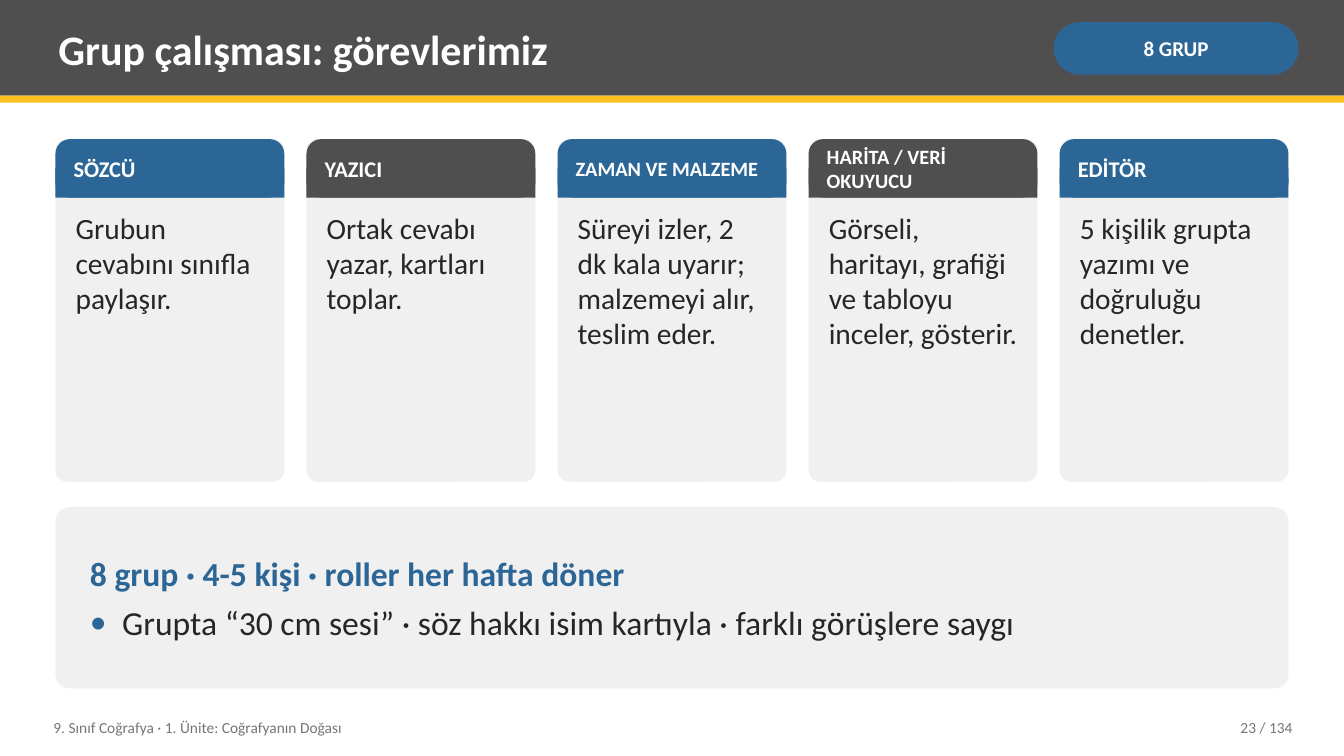
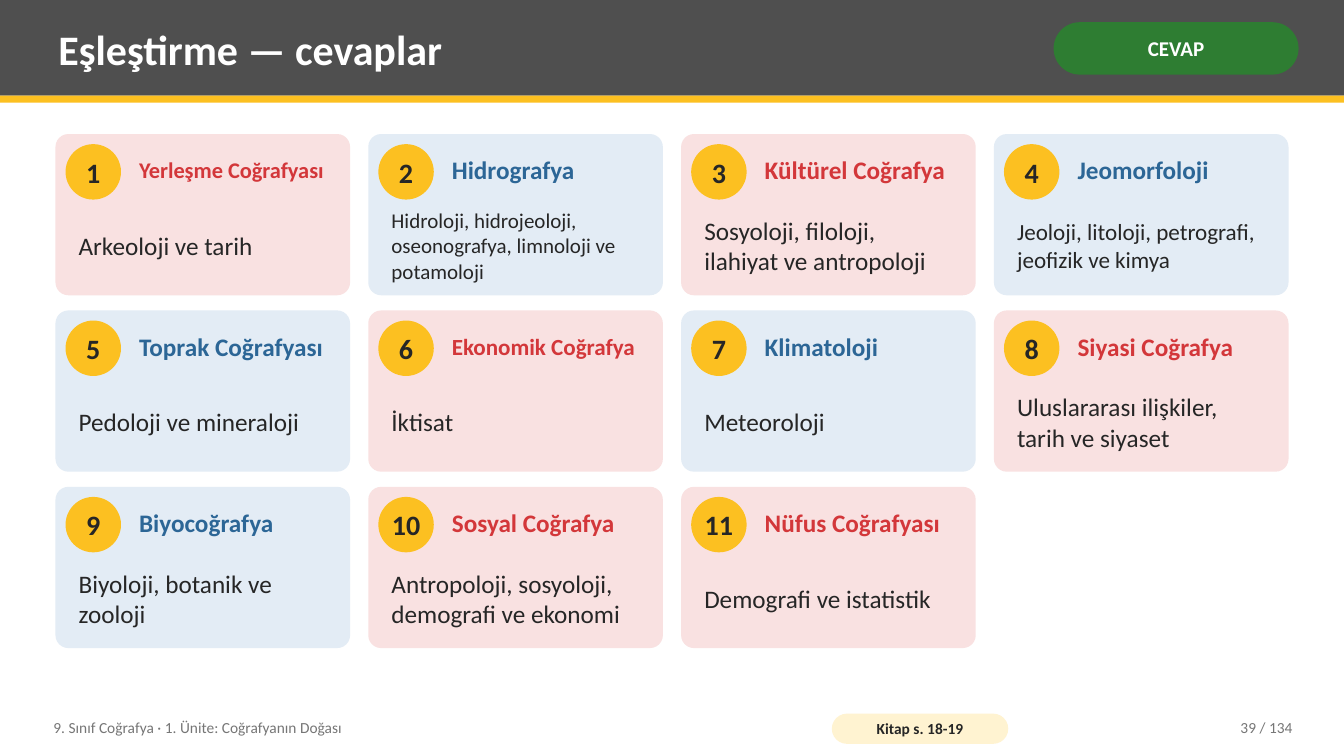
from lxml.etree import SubElement
from pptx import Presentation
from pptx.dml.color import RGBColor
from pptx.enum.shapes import MSO_SHAPE as Shape
from pptx.enum.text import MSO_ANCHOR as Anchor, PP_ALIGN as Align
from pptx.oxml.ns import qn
from pptx.util import Inches, Pt

FONT = "Calibri"
WHITE, INK, GRAY, PANEL, MUTED = "FFFFFF", "262626", "4F4F4F", "F0F0F0", "767676"
BLUE, RED, GREEN, YELLOW = "2C6696", "D3373A", "2E7D32", "FCC021"
PALE_BLUE, PALE_RED, PALE_YELLOW = "E3ECF5", "F9E1E1", "FFF3D1"
TINTS = {BLUE: PALE_BLUE, RED: PALE_RED}

WIDTH, HEIGHT = 13.33, 7.5
LEFT, CONTENT_WIDTH = 0.55, 12.23
TEXT_INSETS = (0.08, 0.04)
COURSE = "9. Sınıf Coğrafya · 1. Ünite: Coğrafyanın Doğası"
PAGE_TOTAL = 134

ROLES = [
    ("SÖZCÜ", 16, "Grubun cevabını sınıfla paylaşır."),
    ("YAZICI", 16, "Ortak cevabı yazar, kartları toplar."),
    ("ZAMAN VE MALZEME", 14.5, "Süreyi izler, 2 dk kala uyarır; malzemeyi alır, teslim eder."),
    ("HARİTA / VERİ OKUYUCU", 14.5, "Görseli, haritayı, grafiği ve tabloyu inceler, gösterir."),
    ("EDİTÖR", 16, "5 kişilik grupta yazımı ve doğruluğu denetler."),
]
RULES_TITLE = "8 grup · 4-5 kişi · roller her hafta döner"
RULES_BULLET = "Grupta “30 cm sesi” · söz hakkı isim kartıyla · farklı görüşlere saygı"

ANSWERS = [
    ("Yerleşme Coğrafyası", 16, RED, "Arkeoloji ve tarih", 18),
    ("Hidrografya", 18, BLUE, "Hidroloji, hidrojeoloji, oseonografya, limnoloji ve potamoloji", 15),
    ("Kültürel Coğrafya", 18, RED, "Sosyoloji, filoloji, ilahiyat ve antropoloji", 18),
    ("Jeomorfoloji", 18, BLUE, "Jeoloji, litoloji, petrografi, jeofizik ve kimya", 16.5),
    ("Toprak Coğrafyası", 18, BLUE, "Pedoloji ve mineraloji", 18),
    ("Ekonomik Coğrafya", 16.5, RED, "İktisat", 18),
    ("Klimatoloji", 18, BLUE, "Meteoroloji", 18),
    ("Siyasi Coğrafya", 18, RED, "Uluslararası ilişkiler, tarih ve siyaset", 18),
    ("Biyocoğrafya", 18, BLUE, "Biyoloji, botanik ve zooloji", 18),
    ("Sosyal Coğrafya", 18, RED, "Antropoloji, sosyoloji, demografi ve ekonomi", 18),
    ("Nüfus Coğrafyası", 18, RED, "Demografi ve istatistik", 18),
]


def rgb(value):
    return RGBColor.from_string(value)


def style(paragraph, size, color, bold=False, align=Align.LEFT):
    paragraph.alignment = align
    font = paragraph.font
    font.name, font.size, font.bold = FONT, Pt(size), bold
    font.color.rgb = rgb(color)


def set_frame(shape, insets, anchor=Anchor.MIDDLE, wrap=True):
    frame = shape.text_frame
    frame.word_wrap, frame.vertical_anchor = wrap, anchor
    frame.margin_left = frame.margin_right = Inches(insets[0])
    frame.margin_top = frame.margin_bottom = Inches(insets[1])
    return frame


def write(shape, text, size, color, bold=False, align=Align.LEFT, insets=TEXT_INSETS, **options):
    paragraph = set_frame(shape, insets, **options).paragraphs[0]
    paragraph.text = text
    style(paragraph, size, color, bold, align)


def add_block(slide, kind, box, fill, corner=None):
    shape = slide.shapes.add_shape(kind, *map(Inches, box))
    shape.shadow.inherit = False
    shape.fill.solid()
    shape.fill.fore_color.rgb = rgb(fill)
    shape.line.fill.background()
    if corner is not None:
        shape.adjustments[0] = corner
    return shape


def add_label(slide, box, *text, **options):
    write(slide.shapes.add_textbox(*map(Inches, box)), *text, **options)


def add_pill(slide, box, fill, *text, insets):
    pill = add_block(slide, Shape.ROUNDED_RECTANGLE, box, fill, 0.5)
    write(pill, *text, bold=True, align=Align.CENTER, insets=insets)


def add_bullet(paragraph, color, indent):
    properties = paragraph._p.get_or_add_pPr()
    properties.set("marL", str(Inches(indent)))
    properties.set("indent", str(-Inches(indent)))
    SubElement(SubElement(properties, qn("a:buClr")), qn("a:srgbClr"), val=color)
    SubElement(properties, qn("a:buFont"), typeface=FONT)
    SubElement(properties, qn("a:buChar"), char="•")


def add_page(presentation, title, tag, tag_color, number):
    slide = presentation.slides.add_slide(presentation.slide_layouts[6])
    add_block(slide, Shape.RECTANGLE, (0, 0, WIDTH, 0.95), GRAY)
    add_block(slide, Shape.RECTANGLE, (0, 0.95, WIDTH, 0.07), YELLOW)
    add_label(slide, (0.5, 0.07, 9.75, 0.82), title, 30, WHITE, True)
    add_pill(slide, (10.45, 0.22, 2.43, 0.52), tag_color, tag, 15, WHITE, insets=(0.05, 0.02))
    add_label(slide, (0.45, 7.04, 7.6, 0.36), COURSE, 11, MUTED)
    add_label(slide, (11.3, 7.04, 1.6, 0.36), f"{number} / {PAGE_TOTAL}", 11, MUTED, align=Align.RIGHT)
    return slide


def add_role_cards(slide):
    top, height, head, gap = 1.38, 3.4, 0.58, 0.22
    width = (CONTENT_WIDTH - gap * (len(ROLES) - 1)) / len(ROLES)
    for index, (role, size, duty) in enumerate(ROLES):
        left = LEFT + index * (width + gap)
        color = (BLUE, GRAY)[index % 2]
        add_block(slide, Shape.ROUNDED_RECTANGLE, (left, top, width, height), PANEL, 0.05)
        add_block(slide, Shape.ROUNDED_RECTANGLE, (left, top, width, head), color, 0.25)
        add_block(slide, Shape.RECTANGLE, (left, top + head / 2, width, head / 2), color)
        add_label(slide, (left + 0.1, top, width - 0.2, head), role, size, WHITE, True)
        add_label(slide, (left + 0.12, top + head + 0.08, width - 0.24, height - head - 0.16),
                  duty, 21, INK, anchor=Anchor.TOP)


def add_rules_panel(slide):
    panel = add_block(slide, Shape.ROUNDED_RECTANGLE, (LEFT, 5.03, CONTENT_WIDTH, 1.8), PANEL, 0.08)
    write(panel, RULES_TITLE, 24, BLUE, True, insets=(0.3, 0.08))
    panel.text_frame.paragraphs[0].space_after = Pt(6)
    bullet = panel.text_frame.add_paragraph()
    bullet.text = RULES_BULLET
    add_bullet(bullet, BLUE, 0.32)
    style(bullet, 24, INK)


def add_answer_cards(slide):
    columns, gap, height, row_step = 4, 0.18, 1.6, 1.75
    width = (CONTENT_WIDTH - gap * (columns - 1)) / columns
    for index, (branch, branch_size, color, sciences, size) in enumerate(ANSWERS):
        row, column = divmod(index, columns)
        left, top = LEFT + column * (width + gap), 1.33 + row * row_step
        add_block(slide, Shape.ROUNDED_RECTANGLE, (left, top, width, height), TINTS[color], 0.08)
        badge = add_block(slide, Shape.OVAL, (left + 0.1, top + 0.1, 0.55, 0.55), YELLOW)
        write(badge, str(index + 1), 20, INK, True, Align.CENTER, (0, 0), wrap=False)
        add_label(slide, (left + 0.75, top + 0.08, width - 0.85, 0.55), branch, branch_size, color, True)
        add_label(slide, (left + 0.15, top + 0.68, width - 0.3, 0.85), sciences, size, INK)


def main():
    """Build the group roles slide and the matching answers slide."""
    presentation = Presentation()
    presentation.slide_width, presentation.slide_height = Inches(WIDTH), Inches(HEIGHT)

    roles = add_page(presentation, "Grup çalışması: görevlerimiz", "8 GRUP", BLUE, 23)
    add_role_cards(roles)
    add_rules_panel(roles)

    answers = add_page(presentation, "Eşleştirme — cevaplar", "CEVAP", GREEN, 39)
    add_answer_cards(answers)
    add_pill(answers, (8.25, 7.08, 1.75, 0.3), PALE_YELLOW, "Kitap s. 18-19", 11, INK, insets=(0.04, 0))

    presentation.save("out.pptx")


if __name__ == "__main__":
    main()
